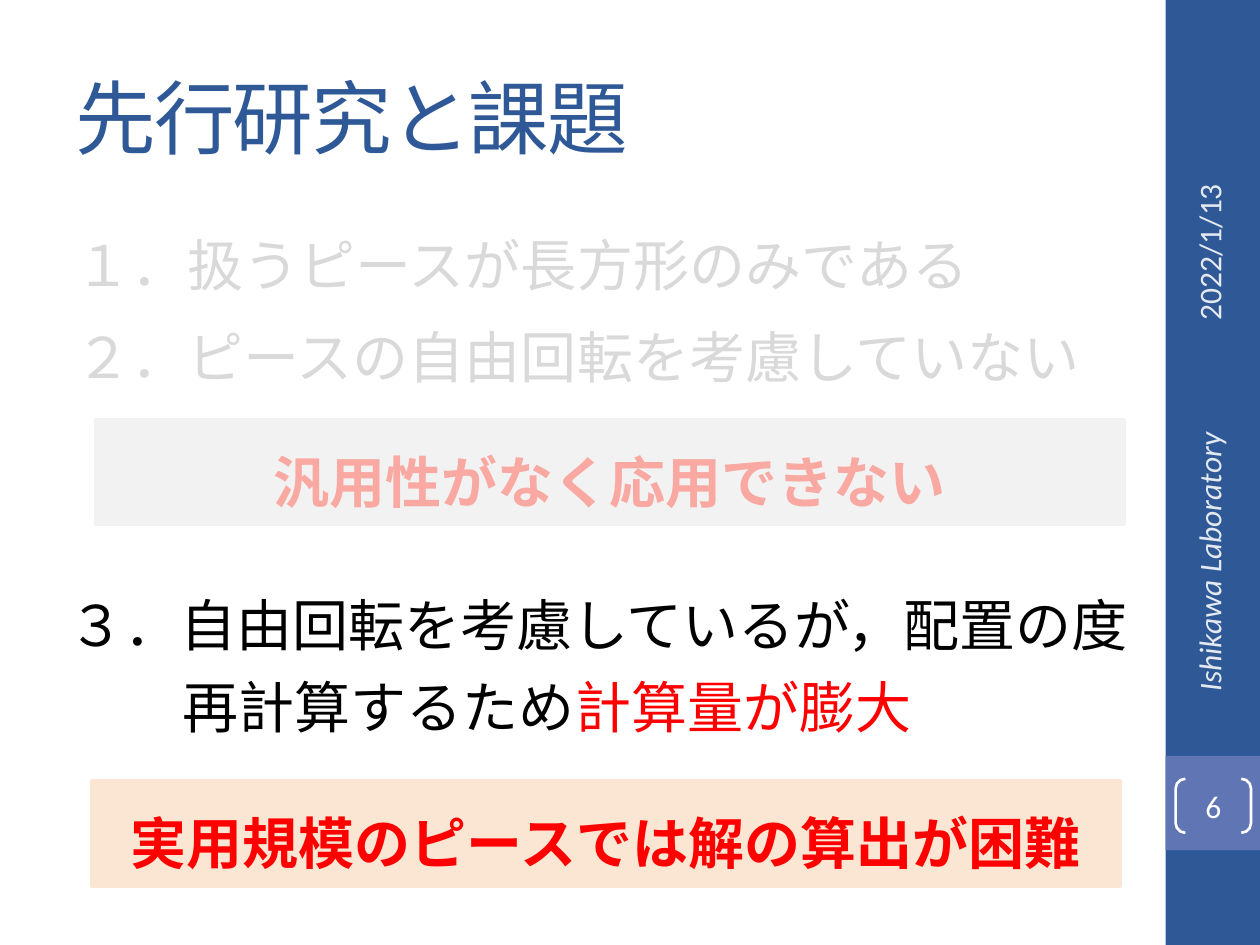
from lxml import etree
from pptx import Presentation
from pptx.dml.color import RGBColor
from pptx.enum.shapes import MSO_SHAPE
from pptx.enum.text import MSO_ANCHOR, MSO_AUTO_SIZE, PP_ALIGN
from pptx.oxml.ns import qn
from pptx.util import Cm, Pt

RECT, BRACKETS = MSO_SHAPE.RECTANGLE, MSO_SHAPE.DOUBLE_BRACKET
LEFT, CENTER, RIGHT = PP_ALIGN.LEFT, PP_ALIGN.CENTER, PP_ALIGN.RIGHT
TOP, MIDDLE = MSO_ANCHOR.TOP, MSO_ANCHOR.MIDDLE

JAPANESE = "Noto Sans CJK JP"
COLORS = {
    "navy": "2F5897", "periwinkle": "6076B4", "white": "FFFFFF",
    "side_text": "E4E9EF", "faded": "D9D9D9", "black": "000000",
    "red": "FF0000", "faded_red": "F9A9A1",
    "gray_band": "F2F2F2", "orange_band": "FAE6D3",
}
BAR_LEFT, BAR_WIDTH = 23.5, 1.9
TEXT_WIDTH, TEXT_HEIGHT = 22.23, 1.47
BAND_WIDTH, BAND_HEIGHT = 20.73, 2.11


def rgb(name):
    return RGBColor.from_string(COLORS[name])


def place(shape, left, top, width, height):
    shape.left, shape.top = Cm(left), Cm(top)
    shape.width, shape.height = Cm(width), Cm(height)


def set_frame(frame, anchor=TOP):
    frame.word_wrap = True
    frame.auto_size = MSO_AUTO_SIZE.NONE
    frame.vertical_anchor = anchor


def write(paragraph, *parts, size=32, font=JAPANESE, align=LEFT, bold=False,
          italic=False, line=None, before=0, indent=0, tracking=None):
    """Fill a paragraph with (text, colour) parts in one format."""
    paragraph.alignment = align
    paragraph.space_before = Pt(before)
    if line:
        paragraph.line_spacing = Pt(line)
    properties = paragraph._p.get_or_add_pPr()
    properties.set("marL", str(Cm(indent)))
    properties.set("indent", "0")
    etree.SubElement(properties, qn("a:buNone"))
    for text, color in parts:
        run = paragraph.add_run()
        run.text = text
        run.font.size, run.font.bold, run.font.italic = Pt(size), bold, italic
        run.font.color.rgb = rgb(color)
        run.font.name = font
        run_format = run._r.get_or_add_rPr()
        east_asian = etree.Element(qn("a:ea"), typeface=JAPANESE)
        run_format.find(qn("a:latin")).addnext(east_asian)
        if tracking is not None:
            run_format.set("spc", str(tracking))


def add_block(shapes, color, left, top, width, height, outline=None):
    block = shapes.add_shape(RECT, Cm(left), Cm(top), Cm(width), Cm(height))
    block.shadow.inherit = False
    block.fill.solid()
    block.fill.fore_color.rgb = rgb(color)
    if outline:
        block.line.color.rgb = rgb(color)
        block.line.width = Pt(outline)
    else:
        block.line.fill.background()


def add_text(shapes, text, color, left, top, width, height,
             anchor=TOP, rotation=0, **text_format):
    box = shapes.add_textbox(Cm(left), Cm(top), Cm(width), Cm(height))
    box.rotation = rotation
    set_frame(box.text_frame, anchor)
    write(box.text_frame.paragraphs[0], (text, color), **text_format)


def add_conclusion(slide, text, color, band_color, left, top):
    """A coloured band grouped with its centred statement."""
    group = slide.shapes.add_group_shape()
    add_block(group.shapes, band_color, left, top, BAND_WIDTH, BAND_HEIGHT, outline=2)
    text_left = left + (BAND_WIDTH - TEXT_WIDTH) / 2
    add_text(group.shapes, text, color, text_left, top + 0.62,
             TEXT_WIDTH, TEXT_HEIGHT, align=CENTER, bold=True, line=33)


def fill_list(body, lines, left, top, height, gap, indent=0):
    """Lines of parts; those after the first take the gap and the indent."""
    place(body, left, top, TEXT_WIDTH, height)
    frame = body.text_frame
    set_frame(frame)
    for number, parts in enumerate(lines):
        paragraph = frame.add_paragraph() if number else frame.paragraphs[0]
        write(paragraph, *parts, line=33, before=gap if number else 0,
              indent=indent if number else 0)


def add_sidebar(slide):
    shapes = slide.shapes
    add_block(shapes, "navy", BAR_LEFT, 0, BAR_WIDTH, 19.05)
    add_block(shapes, "periwinkle", BAR_LEFT, 15.24, BAR_WIDTH, BAR_WIDTH)
    side_format = {"anchor": MIDDLE, "rotation": 270, "size": 18, "font": "Calibri"}
    add_text(shapes, "2022/1/13", "side_text", 20.98, 4.57, 6.78, 1.02,
             align=CENTER, **side_format)
    add_text(shapes, "Ishikawa Laboratory", "side_text", 21.08, 11.25, 6.58, 1.02,
             align=RIGHT, italic=True, **side_format)

    # Page number between brackets
    page = shapes.add_shape(BRACKETS, Cm(23.7), Cm(15.7), Cm(1.52), Cm(1.09))
    page.adjustments[0] = 0.18
    page.shadow.inherit = False
    page.fill.background()
    page.line.color.rgb = rgb("white")
    page.line.width = Pt(1.5)
    frame = page.text_frame
    set_frame(frame, MIDDLE)
    frame.margin_left = frame.margin_right = frame.margin_top = frame.margin_bottom = 0
    write(frame.paragraphs[0], ("6", "white"), size=18, font="Calibri", align=CENTER)


def main():
    presentation = Presentation()
    presentation.slide_width, presentation.slide_height = Cm(25.4), Cm(19.05)
    slide = presentation.slides.add_slide(presentation.slide_layouts[3])
    title, earlier_issues, current_issue = slide.placeholders

    add_sidebar(slide)

    # Title
    place(title, 1.27, 0.76, 21.16, 3.18)
    set_frame(title.text_frame, MIDDLE)
    write(title.text_frame.paragraphs[0], ("先行研究と課題", "navy"),
          size=46, font="Cambria", tracking=-100)

    # Issues already covered, faded
    fill_list(earlier_issues, [
        [("１．扱うピースが長方形のみである", "faded")],
        [("２．ピースの自由回転を考慮していない", "faded")],
    ], 1.27, 4.72, 3.4, gap=19.5)
    add_conclusion(slide, "汎用性がなく応用できない", "faded_red", "gray_band", 1.93, 8.46)

    # Issue in focus
    fill_list(current_issue, [
        [("３．自由回転を考慮しているが，配置の度", "black")],
        [("再計算するため", "black"), ("計算量が膨大", "red")],
    ], 1.12, 11.96, 3.2, gap=14, indent=2.31)
    add_conclusion(slide, "実用規模のピースでは解の算出が困難", "red", "orange_band", 1.85, 15.75)

    presentation.save("out.pptx")


if __name__ == "__main__":
    main()
